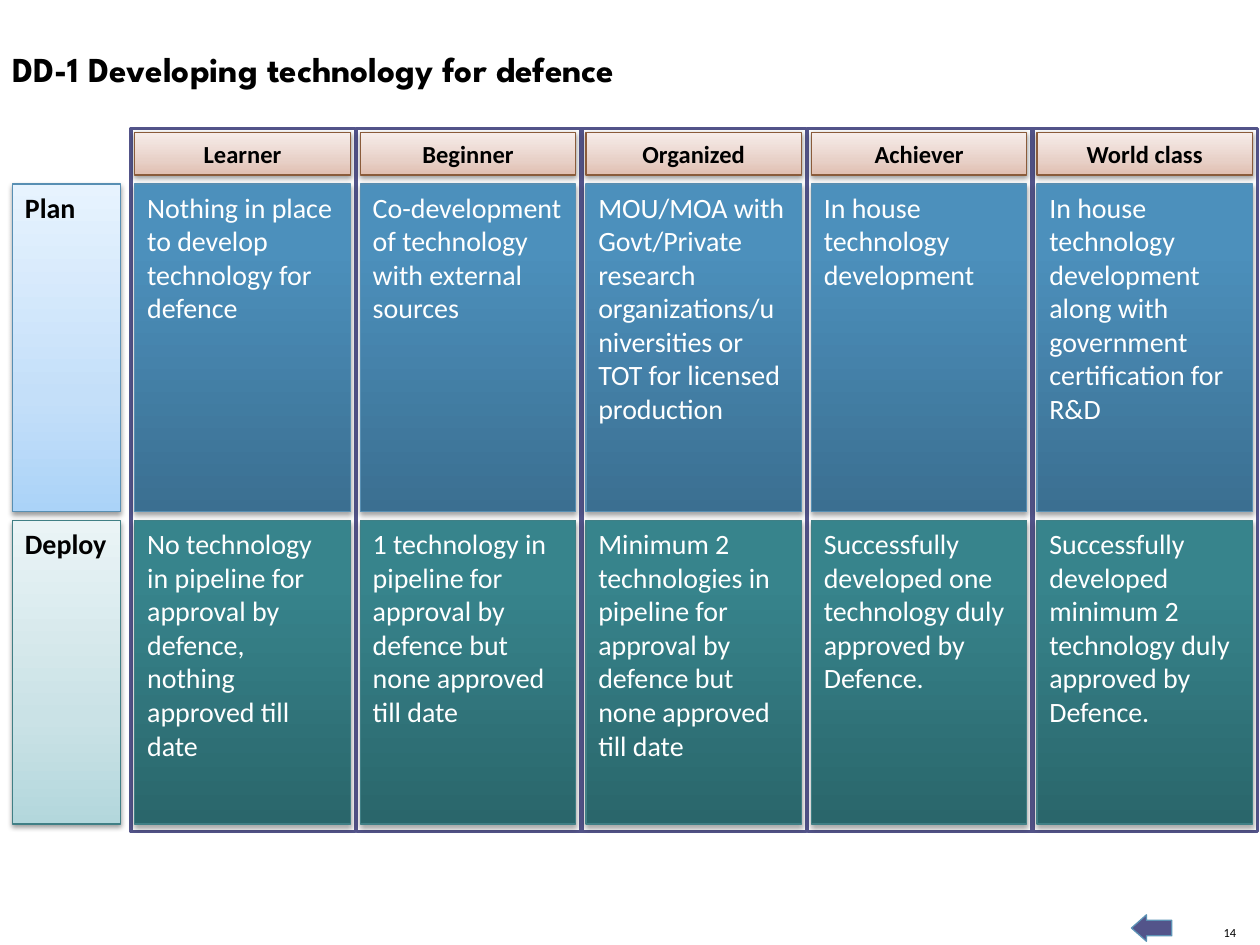
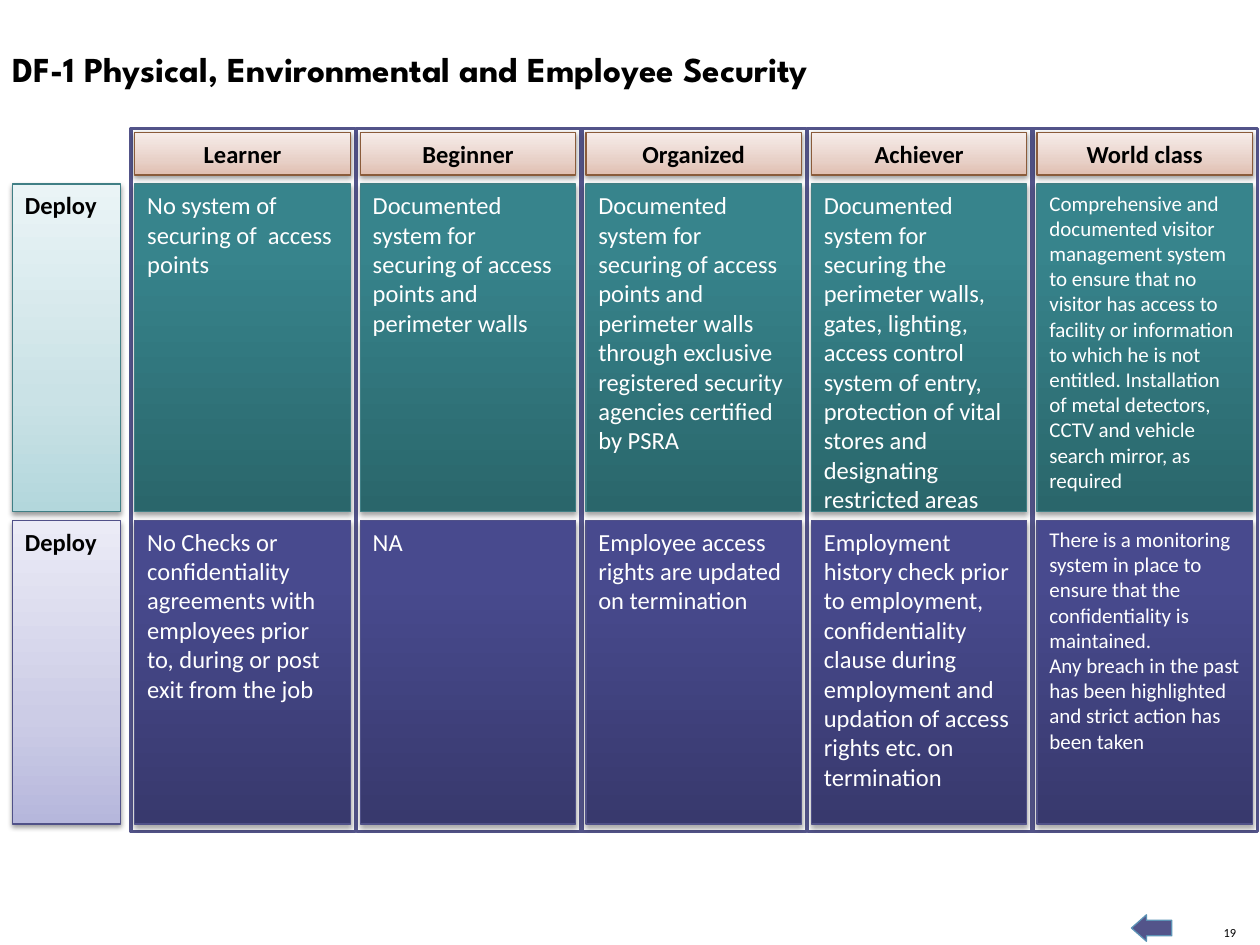
"""Two maturity grids: five levels across, two stages down."""
from copy import deepcopy
from lxml.etree import SubElement
from pptx import Presentation
from pptx.dml.color import RGBColor
from pptx.enum.shapes import MSO_SHAPE as Kind
from pptx.enum.text import MSO_ANCHOR as Anchor, MSO_AUTO_SIZE as Fit, PP_ALIGN as Align
from pptx.oxml.ns import qn
from pptx.util import Emu, Inches, Pt

LEVELS = ["Learner", "Beginner", "Organized", "Achiever", "World class"]
SLIDES = [
    {
        "title": "DD-1 Developing technology for defence",
        "page": "14",
        "label": 16,
        "sizes": [16] * 5,
        "rows": [
            ("Plan", "blue", [
                "Nothing in place to develop technology for defence",
                "Co-development of technology with external sources",
                "MOU/MOA with Govt/Private research organizations/universities or TOT for licensed production",
                "In house technology development",
                "In house technology development along with government certification for R&D",
            ]),
            ("Deploy", "teal", [
                "No technology in pipeline for approval by defence, nothing approved till date",
                "1 technology in pipeline for approval by defence but none approved till date",
                "Minimum 2 technologies in pipeline for approval by defence but none approved till date",
                "Successfully developed one technology duly approved by Defence.",
                "Successfully developed minimum 2 technology duly approved by Defence.",
            ]),
        ],
    },
    {
        "title": "DF-1 Physical, Environmental and Employee Security",
        "page": "19",
        "label": 14,
        "sizes": [14] * 4 + [12],
        "rows": [
            ("Deploy", "teal", [
                "No system of securing of  access points",
                "Documented system for securing of access points and perimeter walls",
                "Documented system for securing of access points and perimeter walls through exclusive  "
                "registered security agencies certified by PSRA",
                "Documented system for securing the perimeter walls, gates, lighting, access control system "
                "of entry, protection of vital stores and designating restricted areas",
                "Comprehensive and documented visitor management system to ensure that no visitor has access "
                "to facility or information to which he is not entitled. Installation of metal detectors, "
                "CCTV and vehicle search mirror, as required",
            ]),
            ("Deploy", "plum", [
                "No Checks or confidentiality agreements with employees prior to, during or post exit from the job",
                "NA",
                "Employee access rights are updated on termination",
                "Employment history check prior to employment,  confidentiality clause during employment "
                "and updation of access rights etc. on termination",
                "There is a monitoring system in place to ensure that the confidentiality is maintained.\n"
                "Any breach in the past has been highlighted and strict action has been taken",
            ]),
        ],
    },
]

PALE, DEEP = (0, 35, 100), (0, 80, 100)
HUES = {
    "blue": {"line": "588FB3", PALE: "ABD3F8 C4DFF9 E7F3FE", DEEP: "3B6F91 4C90BC 4A91BF"},
    "teal": {"line": "407F85", PALE: "B3D7DC CAE2E6 EAF4F6", DEEP: "2A666B 37848C 36868E"},
    "plum": {"line": "505188", PALE: "B6B7DC CCCCE6 EBEBF6", DEEP: "38396D 484A8E 474990"},
    "rose": {"line": "8A5B3A", PALE: "E0BEB0 E8D1C8 F7EDEA"},
}
SHADE = {PALE: (38, 1.6), DEEP: (35, 1.8)}
BLACK, WHITE, INK = "000000", "FFFFFF", "53548A"

LEFT, PITCH, INSET = 1.04, 1.79, 0.03
FRAME = (1.02, 1.78, 5.58)
CELL = 1.71
HEAD = (1.05, 0.34)
BANDS = [(1.46, 2.6), (4.13, 2.41)]
SIDE = (0.1, 0.86)


def tint(code):
    return RGBColor.from_string(code)


def write(shape, text, size, color=BLACK, align=Align.LEFT, face="Calibri", bold=False, **frame):
    body = shape.text_frame
    for name, value in {"word_wrap": True, "vertical_anchor": Anchor.TOP, **frame}.items():
        setattr(body, name, value)
    body.text = text
    for para in body.paragraphs:
        para.alignment = align
        font = para.runs[0].font
        for name, value in {"size": Pt(size), "name": face, "bold": bold}.items():
            setattr(font, name, value)
        font.color.rgb = tint(color)


def draw(slide, kind, box, line, width, fill=None):
    shape = slide.shapes.add_shape(kind, *map(Inches, box))
    shape.shadow.inherit = False
    shape.line.color.rgb = tint(line)
    shape.line.width = Pt(width)
    if fill:
        shape.fill.solid()
        shape.fill.fore_color.rgb = tint(fill)
    return shape


def blend(slide, box, hue, tone):
    shape = draw(slide, Kind.RECTANGLE, box, HUES[hue]["line"], 0.75)
    fill = shape.fill
    fill.gradient()
    fill.gradient_angle = 90
    props = shape.element.spPr
    stops = props.find(".//" + qn("a:gsLst"))
    stops.append(deepcopy(stops[0]))
    for stop, place, code in zip(fill.gradient_stops, tone, HUES[hue][tone].split()):
        stop.position = place / 100
        stop.color.rgb = tint(code)
    alpha, drop = SHADE[tone]
    glow = SubElement(props.find(qn("a:effectLst")), qn("a:outerShdw"), blurRad=str(Pt(3.1)),
                      dist=str(Pt(drop)), dir="5400000", rotWithShape="0")
    black = SubElement(glow, qn("a:srgbClr"), val=BLACK)
    SubElement(black, qn("a:alpha"), val=str(alpha * 1000))
    return shape


def label(slide, box, text, size, **style):
    write(slide.shapes.add_textbox(*map(Inches, box)), text, size, auto_size=Fit.SHAPE_TO_FIT_TEXT, **style)


def frame(slide, title, page):
    flush = dict.fromkeys(["margin_left", "margin_top", "margin_right", "margin_bottom"], Emu(0))
    label(slide, (9.69, 7.34, 0.12, 0.12), page, 7.1, align=Align.RIGHT,
          word_wrap=False, vertical_anchor=Anchor.BOTTOM, **flush)
    arrow = draw(slide, Kind.RIGHT_ARROW, (8.98, 7.26, 0.32, 0.21), "5C92B5", 0.75, INK)
    arrow.rotation = 180
    arrow.adjustments[0], arrow.adjustments[1] = 0.588, 0.565
    label(slide, (0, 0.33, 8.6, 0.44), title, 20, face="League Spartan", bold=True)


def build(slide, data):
    frame(slide, data["title"], data["page"])
    lanes = [LEFT + PITCH * col for col in range(len(LEVELS))]
    rows = list(zip(data["rows"], BANDS))
    for (name, hue, _), (top, high) in rows:
        write(blend(slide, (SIDE[0], top, SIDE[1], high), hue, PALE), name, data["label"], bold=True)
    for left in lanes:
        draw(slide, Kind.RECTANGLE, (left, *FRAME), INK, 2, WHITE)
    for (_, hue, cells), (top, high) in rows:
        for left, text, size in zip(lanes, cells, data["sizes"]):
            write(blend(slide, (left + INSET, top, CELL, high), hue, DEEP), text, size, WHITE)
    for left, text in zip(lanes, LEVELS):
        box = (left + INSET, HEAD[0], CELL, HEAD[1])
        write(blend(slide, box, "rose", PALE), text, 14, align=Align.CENTER, bold=True,
              vertical_anchor=Anchor.MIDDLE)


def main():
    deck = Presentation()
    deck.slide_width, deck.slide_height = Inches(10), Inches(7.5)
    for data in SLIDES:
        build(deck.slides.add_slide(deck.slide_layouts[6]), data)
    deck.save("out.pptx")


if __name__ == "__main__":
    main()
